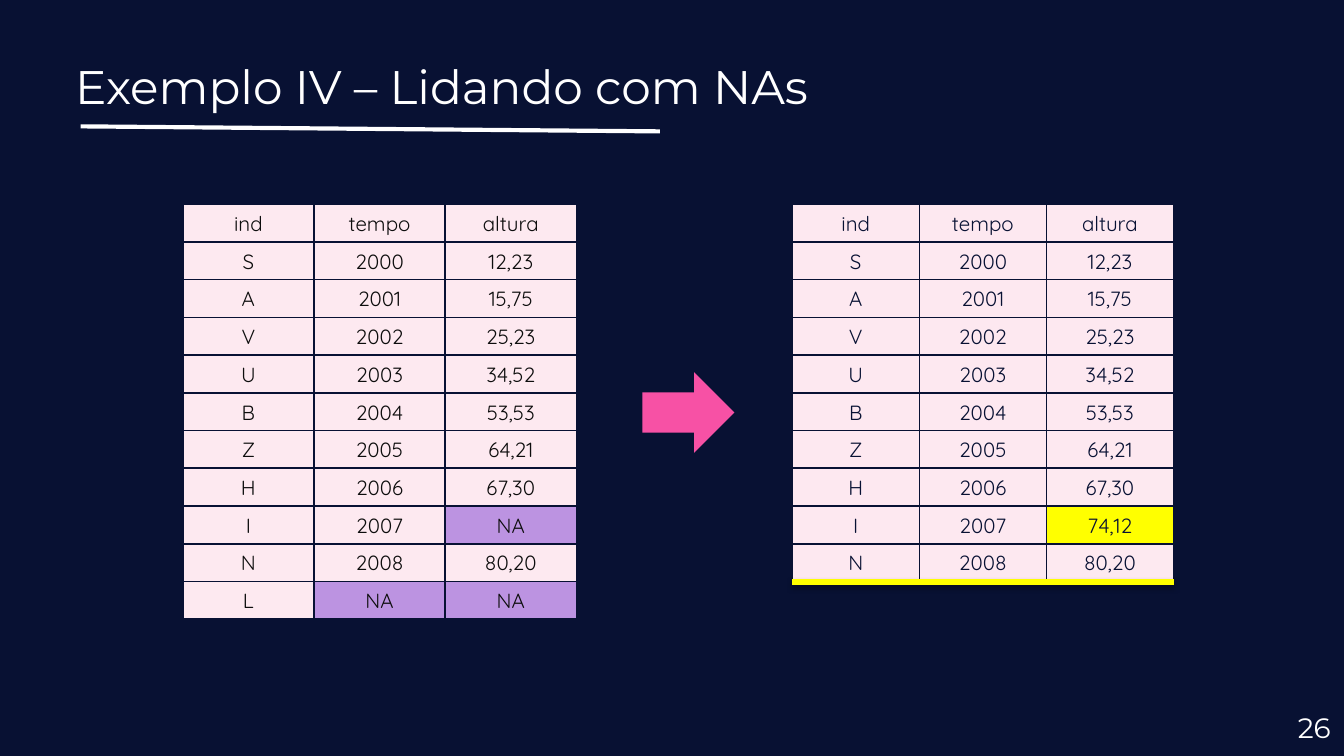
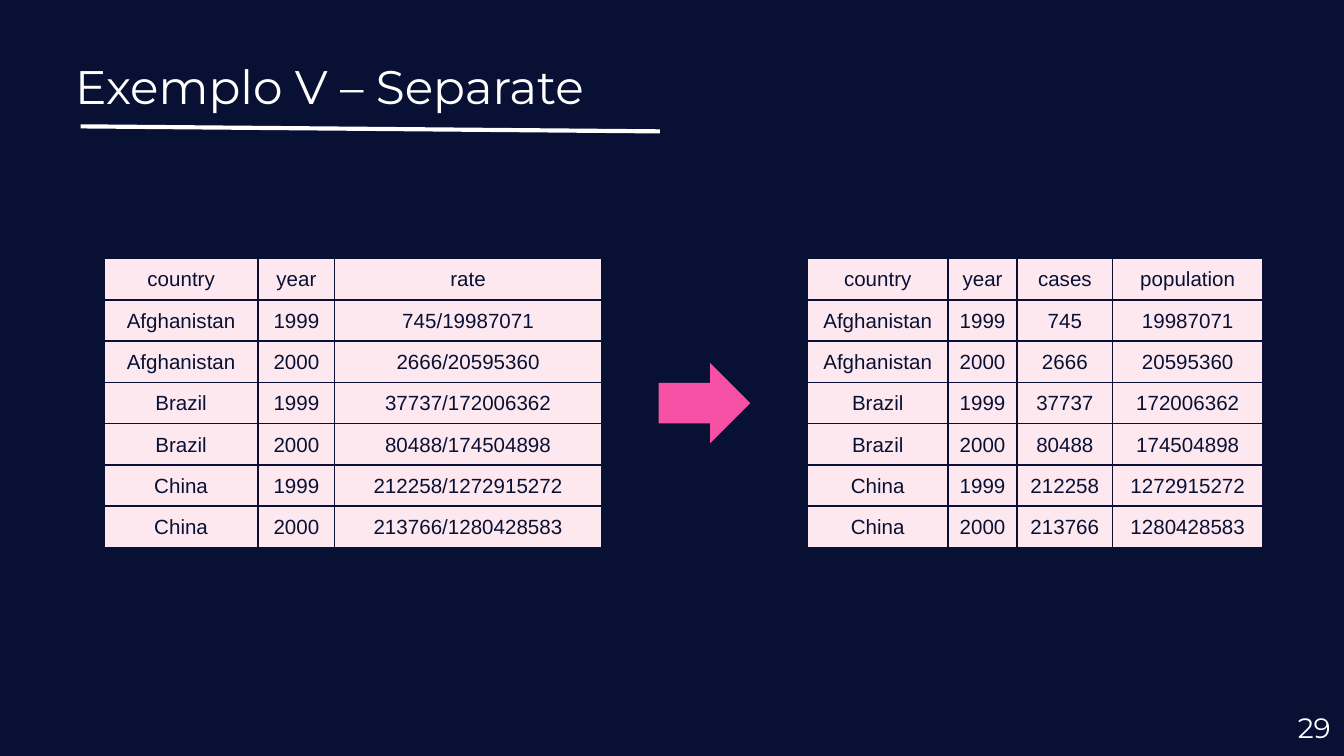
"""Build two slides that show tables before and after tidying."""
from lxml import etree
from pptx import Presentation
from pptx.dml.color import RGBColor
from pptx.enum.shapes import MSO_CONNECTOR, MSO_SHAPE
from pptx.enum.text import MSO_ANCHOR, MSO_AUTO_SIZE, PP_ALIGN
from pptx.oxml.ns import qn
from pptx.util import Pt

STRAIGHT, ARROW = MSO_CONNECTOR.STRAIGHT, MSO_SHAPE.RIGHT_ARROW
MIDDLE, NO_FIT = MSO_ANCHOR.MIDDLE, MSO_AUTO_SIZE.NONE
LEFT, CENTER, RIGHT = PP_ALIGN.LEFT, PP_ALIGN.CENTER, PP_ALIGN.RIGHT

COLORS = {
    "navy": "081133", "white": "FFFFFF", "ink": "0D0D0D", "pink": "F751A5",
    "blush": "FDE9F0", "rose": "FDE8F0", "purple": "BC93E1",
    "yellow": "FFFF00", "black": "000000",
}
HEAD_FONT = "Montserrat"

HEIGHTS = [
    ("ind", "tempo", "altura"),
    ("S", "2000", "12,23"),
    ("A", "2001", "15,75"),
    ("V", "2002", "25,23"),
    ("U", "2003", "34,52"),
    ("B", "2004", "53,53"),
    ("Z", "2005", "64,21"),
    ("H", "2006", "67,30"),
    ("I", "2007", "NA"),
    ("N", "2008", "80,20"),
    ("L", "NA", "NA"),
]
HEIGHTS_FILLED = HEIGHTS[:8] + [("I", "2007", "74,12"), HEIGHTS[9]]
RATES = [
    ("country", "year", "rate"),
    ("Afghanistan", "1999", "745/19987071"),
    ("Afghanistan", "2000", "2666/20595360"),
    ("Brazil", "1999", "37737/172006362"),
    ("Brazil", "2000", "80488/174504898"),
    ("China", "1999", "212258/1272915272"),
    ("China", "2000", "213766/1280428583"),
]
RATES_SPLIT = [("country", "year", "cases", "population")] + [
    (country, year, *rate.split("/")) for country, year, rate in RATES[1:]]

SLIDES = [
    {
        "title": "Exemplo IV – Lidando com NAs", "number": "26",
        "font": "Quicksand", "top": 109.4, "row": 20.23,
        "arrow": (344.2, 199.4),
        "tables": [
            {"rows": HEIGHTS, "left": 97.9, "cols": [70.3] * 3,
             "fill": "blush", "text": "ink",
             "marks": {(8, 2): "purple", (10, 1): "purple", (10, 2): "purple"}},
            {"rows": HEIGHTS_FILLED, "left": 424.4, "cols": [68.1] * 3,
             "fill": "rose", "text": "navy", "underline": True,
             "marks": {(7, 2): "blush", (8, 2): "yellow", (9, 2): "blush"}},
        ],
    },
    {
        "title": "Exemplo V – Separate", "number": "29",
        "font": "Arial", "top": 138.5, "row": 22.13,
        "arrow": (352.8, 194.4),
        "tables": [
            {"rows": RATES, "left": 55.8, "cols": [82.5, 41, 143],
             "fill": "rose", "text": "navy"},
            {"rows": RATES_SPLIT, "left": 432.6, "cols": [75.3, 37, 51.2, 80.5],
             "fill": "rose", "text": "navy"},
        ],
    },
]


def rgb(name):
    return RGBColor.from_string(COLORS[name])


def paint(fill, color):
    fill.solid()
    fill.fore_color.rgb = rgb(color)


def write(tf, text, size, font, color, align):
    tf.text = text
    p = tf.paragraphs[0]
    p.alignment = align
    r = p.runs[0]
    r.font.size = Pt(size)
    r.font.name = font
    r.font.color.rgb = rgb(color)


def place(sp, left, top, width, height):
    sp.left, sp.top, sp.width, sp.height = map(Pt, (left, top, width, height))


def add_line(s, x1, y1, x2, y2, color, width):
    line = s.shapes.add_connector(STRAIGHT, Pt(x1), Pt(y1), Pt(x2), Pt(y2))
    line.line.color.rgb = rgb(color)
    line.line.width = Pt(width)
    return etree.SubElement(line._element.spPr, qn("a:effectLst"))


def add_shadow(effects):
    shadow = etree.SubElement(effects, qn("a:outerShdw"), blurRad=str(Pt(3.1)),
                              dist=str(Pt(1.8)), dir="5400000", rotWithShape="0")
    color = etree.SubElement(shadow, qn("a:srgbClr"), val=COLORS["black"])
    etree.SubElement(color, qn("a:alpha"), val="35000")


def add_borders(cell):
    tc_pr = cell._tc.get_or_add_tcPr()
    for i, side in enumerate(("lnL", "lnR", "lnT", "lnB")):
        ln = etree.Element(qn("a:" + side), w=str(Pt(1)))
        fill = etree.SubElement(ln, qn("a:solidFill"))
        etree.SubElement(fill, qn("a:srgbClr"), val=COLORS["navy"])
        tc_pr.insert(i, ln)


def add_table(s, spec, top, row_height, font):
    rows, cols, left = spec["rows"], spec["cols"], spec["left"]
    marks = spec.get("marks", {})
    width, height = sum(cols), row_height * len(rows)
    table = s.shapes.add_table(len(rows), len(cols), Pt(left), Pt(top),
                               Pt(width), Pt(height)).table
    table.first_row = table.horz_banding = False
    for column, col_width in zip(table.columns, cols):
        column.width = Pt(col_width)
    for i, values in enumerate(rows):
        table.rows[i].height = Pt(row_height)
        for j, value in enumerate(values):
            cell = table.cell(i, j)
            cell.margin_left = cell.margin_right = cell.margin_top = Pt(0.7)
            cell.margin_bottom = 0
            cell.vertical_anchor = MIDDLE
            paint(cell.fill, marks.get((i, j), spec["fill"]))
            add_borders(cell)
            write(cell.text_frame, value, 11, font, spec["text"], CENTER)
    return left, left + width, top + height


def add_frame_text(sp, box, text, size, align):
    place(sp, *box)
    tf = sp.text_frame
    tf.margin_left = tf.margin_right = tf.margin_top = tf.margin_bottom = Pt(7.2)
    tf.word_wrap = True
    tf.auto_size = NO_FIT
    tf.vertical_anchor = MIDDLE
    write(tf, text, size, HEAD_FONT, "white", align)


def add_slide(prs, spec):
    s = prs.slides.add_slide(prs.slide_layouts[5])
    add_line(s, 43.2, 67.7, 353.5, 70.4, "white", 2.25)
    add_frame_text(s.shapes.title, (33.1, 23, 671, 45.4), spec["title"], 25.2, LEFT)
    number = s.shapes.add_textbox(0, 0, 0, 0)
    add_frame_text(number, (676.8, 374, 43.2, 31), spec["number"], 15, RIGHT)
    underlines = []
    for table in spec["tables"]:
        x1, x2, y = add_table(s, table, spec["top"], spec["row"], spec["font"])
        if table.get("underline"):
            underlines.append((x1, y, x2, y))
    arrow = s.shapes.add_shape(ARROW, 0, 0, 0, 0)
    place(arrow, *spec["arrow"], 49.2, 43.2)
    arrow.shadow.inherit = False
    paint(arrow.fill, "pink")
    arrow.line.fill.background()
    for ends in underlines:
        add_shadow(add_line(s, *ends, "yellow", 3))


def main():
    prs = Presentation()
    prs.slide_width, prs.slide_height = Pt(720), Pt(405)
    paint(prs.slide_master.background.fill, "navy")
    for spec in SLIDES:
        add_slide(prs, spec)
    prs.save("out.pptx")


if __name__ == "__main__":
    main()
